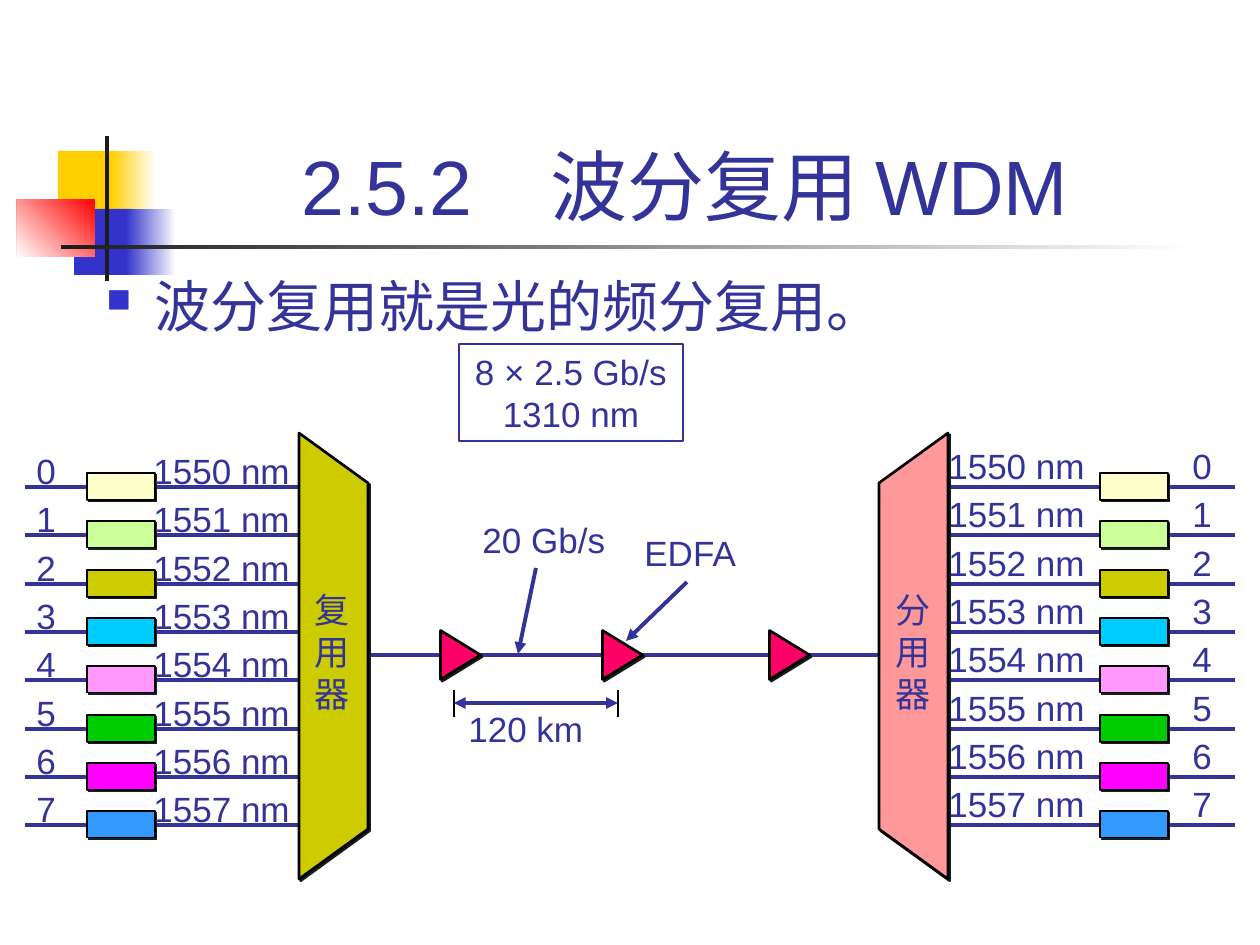
from lxml import etree
from pptx import Presentation
from pptx.dml.color import RGBColor
from pptx.enum.shapes import MSO_CONNECTOR, MSO_SHAPE
from pptx.enum.text import MSO_ANCHOR, MSO_AUTO_SIZE, PP_ALIGN
from pptx.oxml.ns import qn
from pptx.util import Inches, Pt

PX = 7257  # EMU per pixel at 126 pixels to the inch
RECT, TRIANGLE = MSO_SHAPE.RECTANGLE, MSO_SHAPE.ISOSCELES_TRIANGLE
STRAIGHT = MSO_CONNECTOR.STRAIGHT
LEFT, CENTER = PP_ALIGN.LEFT, PP_ALIGN.CENTER
BOTTOM, NO_FIT = MSO_ANCHOR.BOTTOM, MSO_AUTO_SIZE.NONE

INK = RGBColor(0x33, 0x33, 0x99)
BLUE = RGBColor(0x33, 0x33, 0xCC)
YELLOW = RGBColor(0xFF, 0xCF, 0x01)
RED = RGBColor(0xFF, 0x00, 0x00)
DARK = RGBColor(0x1C, 0x1C, 0x1C)
BLACK = RGBColor(0x00, 0x00, 0x00)
WHITE = RGBColor(0xFF, 0xFF, 0xFF)
OLIVE = RGBColor(0xCC, 0xCC, 0x00)
SALMON = RGBColor(0xFF, 0x99, 0x99)
AMP_RED = RGBColor(0xFF, 0x00, 0x66)
CHANNELS = [
    RGBColor(0xFF, 0xFF, 0xCC), RGBColor(0xCC, 0xFF, 0x99), OLIVE,
    RGBColor(0x00, 0xCC, 0xFF), RGBColor(0xFF, 0x99, 0xFF),
    RGBColor(0x00, 0xCC, 0x00), RGBColor(0xFF, 0x00, 0xFF),
    RGBColor(0x33, 0x99, 0xFF),
]

prs = Presentation()
prs.slide_width, prs.slide_height = Inches(10), Inches(7.5)
s = prs.slides.add_slide(prs.slide_layouts[5])
shapes = s.shapes


def style_block(sp, color, width):
    """Solid fill, black outline and a hard shadow to the lower right."""
    sp.fill.solid()
    sp.fill.fore_color.rgb = color
    sp.line.color.rgb = BLACK
    sp.line.width = Pt(width)
    sp.shadow.inherit = False
    effects = sp._element.spPr.find(qn("a:effectLst"))
    shadow = etree.SubElement(effects, qn("a:outerShdw"), dist="17780",
                              dir="2700000", algn="ctr", rotWithShape="0")
    etree.SubElement(shadow, qn("a:srgbClr"), val=str(DARK))


def add_line(x1, y1, x2, y2, color=INK, width=2.24, arrows=()):
    cn = shapes.add_connector(STRAIGHT, x1 * PX, y1 * PX, x2 * PX, y2 * PX)
    cn.line.color.rgb = color
    cn.line.width = Pt(width)
    for end in arrows:
        etree.SubElement(cn.line._get_or_add_ln(), qn(f"a:{end}"), type="triangle")
    etree.SubElement(cn._element.spPr, qn("a:effectLst"))


# Corner ornament: solid or fading bars
for x, y, w, h, color, angle in [
    (58, 151, 60, 66, YELLOW, None), (111, 151, 45, 66, YELLOW, 0),
    (74, 209, 58, 66, BLUE, None), (126, 209, 50, 66, BLUE, 0),
    (17, 199, 78, 58, RED, 225), (105, 136, 4, 145, DARK, None),
    (61, 245, 1134, 4, DARK, 0),
]:
    sp = shapes.add_shape(RECT, x * PX, y * PX, w * PX, h * PX)
    sp.shadow.inherit = False
    sp.line.fill.background()
    if angle is None:
        sp.fill.solid()
        sp.fill.fore_color.rgb = color
    else:
        sp.fill.gradient()
        sp.fill.gradient_angle = angle
        for stop, tone in zip(sp.fill.gradient_stops, (color, WHITE)):
            stop.color.rgb = tone

# Title
title = shapes.title
title.left, title.top, title.width, title.height = 148 * PX, 35 * PX, 1074 * PX, 202 * PX
tf = title.text_frame
tf.auto_size, tf.vertical_anchor = NO_FIT, BOTTOM
tf.text = "2.5.2\u3000波分复用 WDM"
p = tf.paragraphs[0]
p.alignment = CENTER
p.font.size, p.font.name, p.font.color.rgb = Pt(44), "Arial", INK

# Bulleted statement
tf = shapes.add_textbox(94 * PX, 265 * PX, 1142 * PX, 75 * PX).text_frame
tf.word_wrap = True
tf.text = "波分复用就是光的频分复用。"
p = tf.paragraphs[0]
p.font.size, p.font.name, p.font.color.rgb = Pt(32), "Arial", INK
pPr = p._p.get_or_add_pPr()
pPr.set("marL", str(48 * PX))
pPr.set("indent", str(-48 * PX))
bullet_color = etree.Element(qn("a:buClr"))
etree.SubElement(bullet_color, qn("a:srgbClr"), val=str(BLUE))
bullet_size = etree.Element(qn("a:buSzPct"), val="60000")
bullet_char = etree.Element(qn("a:buChar"), char="■")
for i, el in enumerate((bullet_color, bullet_size, bullet_char)):
    pPr.insert(i, el)

# Channel lines on both sides, then the trunk fibre
rows = [487 + round(48.3 * i) for i in range(len(CHANNELS))]
for x1, x2 in ((948, 1235), (25, 312)):
    for y in rows:
        add_line(x1, y, x2, y)
add_line(320, 655, 940, 655)

# Channel boxes
for x in (87, 1100):
    for y, color in zip(rows, CHANNELS):
        sp = shapes.add_shape(RECT, x * PX, (y - 14) * PX, 68 * PX, 27 * PX)
        style_block(sp, color, 0.74)

# Multiplexer and demultiplexer
for outer, inner, color in ((299, 368, OLIVE), (948, 879, SALMON)):
    fb = shapes.build_freeform(outer, 879, scale=PX)
    fb.add_line_segments([(outer, 433), (inner, 483), (inner, 829)], close=True)
    style_block(fb.convert_to_shape(), color, 1.5)

# Amplifiers
for x in (436, 598, 765):
    sp = shapes.add_shape(TRIANGLE, x * PX, 635 * PX, 49 * PX, 40 * PX)
    sp.rotation = 90
    style_block(sp, AMP_RED, 1.5)

# Pointers and span dimension
add_line(536, 568, 518, 654, arrows=["tailEnd"])
add_line(687, 582, 626, 641, arrows=["tailEnd"])
for x in (454, 618):
    add_line(x, 690, x, 717, BLACK, 0.74)
add_line(454, 703, 618, 703, arrows=["headEnd", "tailEnd"])

# Labels: position, lines, font, alignment, line pitch in points, tab stop
left_labels = [f"{i}\t{1550 + i} nm" for i in range(len(CHANNELS))]
right_labels = [f"{1550 + i} nm\t{i}" for i in range(len(CHANNELS))]
for x, y, w, h, lines, font, align, pitch, tab in [
    (24, 437, 290, 400, left_labels, "Arial", LEFT, 27.6, 117),
    (936, 432, 304, 400, right_labels, "Arial", LEFT, 27.6, 244),
    (459, 344, 224, 97, ["8 × 2.5 Gb/s", "1310 nm"], "Arial", CENTER, 24, None),
    (470, 512, 160, 55, ["20 Gb/s"], "Arial", LEFT, 24, None),
    (632, 525, 130, 55, ["EDFA"], "Arial", LEFT, 24, None),
    (456, 701, 150, 55, ["120 km"], "Arial", LEFT, 24, None),
    (302, 582, 64, 139, "复用器", "Times New Roman", LEFT, 24, None),
    (883, 582, 64, 139, "分用器", "Times New Roman", LEFT, 24, None),
]:
    sp = shapes.add_textbox(x * PX, y * PX, w * PX, h * PX)
    tf = sp.text_frame
    tf.word_wrap = True
    tf.text = "\n".join(lines)
    for p in tf.paragraphs:
        p.alignment, p.line_spacing = align, Pt(pitch)
        p.font.size, p.font.name, p.font.color.rgb = Pt(20), font, INK
        if tab:
            tabs = etree.Element(qn("a:tabLst"))
            etree.SubElement(tabs, qn("a:tab"), pos=str(tab * PX), algn="l")
            p._p.pPr.find(qn("a:defRPr")).addprevious(tabs)
    if align == CENTER:
        sp.line.color.rgb = INK
        sp.line.width = Pt(0.74)

prs.save("out.pptx")
